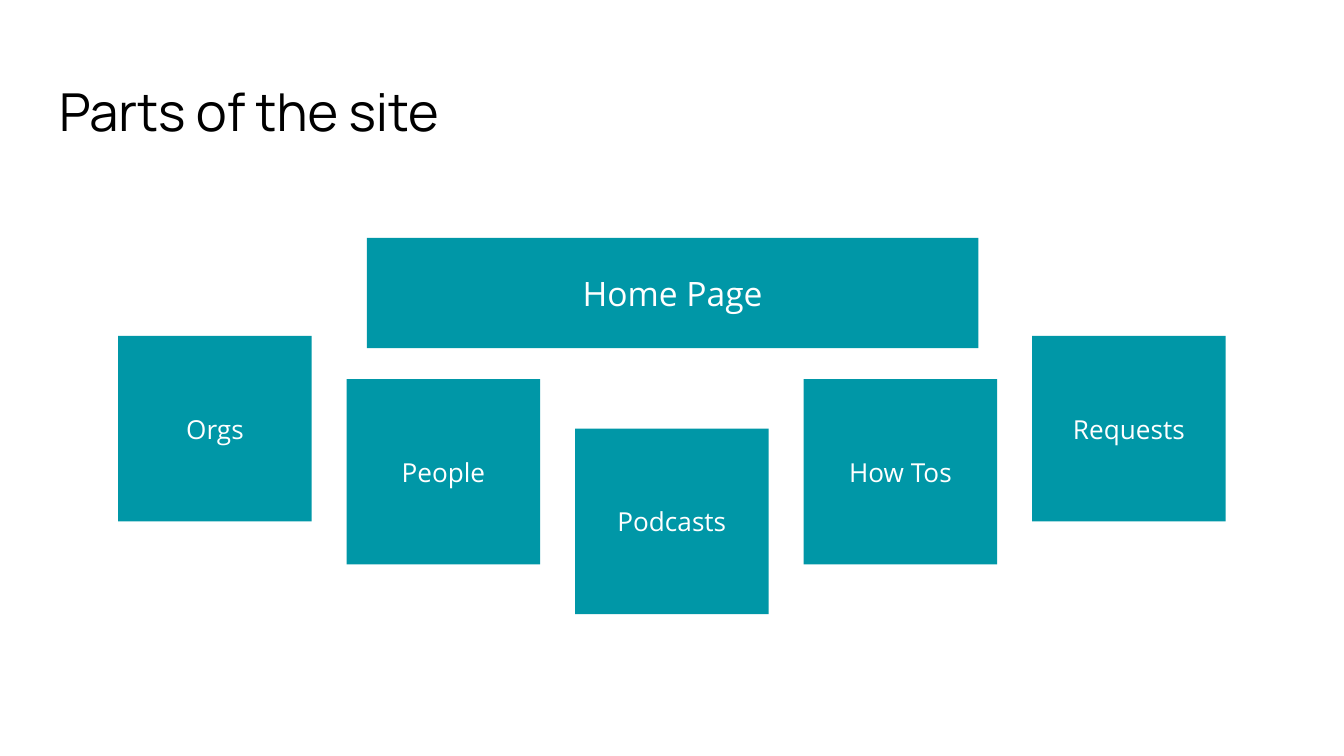
from pptx import Presentation
from pptx.dml.color import RGBColor
from pptx.enum import shapes, text
from pptx.util import Inches, Pt

TEAL = RGBColor(0x00, 0x97, 0xA7)
WHITE = RGBColor(0xFF, 0xFF, 0xFF)
BLACK = RGBColor(0x00, 0x00, 0x00)

SECTIONS = ["Orgs", "People", "Podcasts", "How Tos", "Requests"]
SECTION_TOPS = [2.5, 2.82, 3.19, 2.82, 2.5]
FIRST_LEFT, SECTION_STEP = 0.88, 1.7
SECTION_WIDTH, SECTION_HEIGHT = 1.44, 1.38


def write_text(frame, wording, *, size, font="Open Sans", color=WHITE,
               align=text.PP_ALIGN.CENTER, anchor=text.MSO_ANCHOR.MIDDLE):
    frame.word_wrap = True
    frame.auto_size = text.MSO_AUTO_SIZE.NONE
    frame.vertical_anchor = anchor
    frame.margin_left = frame.margin_right = Inches(0.1)
    frame.margin_top = frame.margin_bottom = Inches(0.1)
    paragraph = frame.paragraphs[0]
    paragraph.alignment = align
    run = paragraph.add_run()
    run.text = wording
    run.font.size = Pt(size)
    run.font.name = font
    run.font.bold = False
    run.font.color.rgb = color


def add_heading(slide, wording):
    heading = slide.shapes.title
    heading.left, heading.top = Inches(0.34), Inches(0.49)
    heading.width, heading.height = Inches(9.32), Inches(0.63)
    write_text(heading.text_frame, wording, size=28, font="Manrope", color=BLACK,
               align=text.PP_ALIGN.LEFT, anchor=text.MSO_ANCHOR.TOP)


def add_page_box(slide, label, left, top, width, height, size):
    page = slide.shapes.add_shape(shapes.MSO_SHAPE.RECTANGLE, Inches(left),
                                  Inches(top), Inches(width), Inches(height))
    page.shadow.inherit = False
    page.fill.solid()
    page.fill.fore_color.rgb = TEAL
    page.line.fill.background()
    write_text(page.text_frame, label, size=size)


def main():
    deck = Presentation()
    deck.slide_width = Inches(10)
    deck.slide_height = deck.slide_width * 9 // 16
    slide = deck.slides.add_slide(deck.slide_layouts[5])

    add_heading(slide, "Parts of the site")
    add_page_box(slide, "Home Page", 2.73, 1.77, 4.55, 0.82, size=18)
    for column, (section, top) in enumerate(zip(SECTIONS, SECTION_TOPS)):
        add_page_box(slide, section, FIRST_LEFT + column * SECTION_STEP, top,
                     SECTION_WIDTH, SECTION_HEIGHT, size=14)

    deck.save("out.pptx")


if __name__ == "__main__":
    main()
